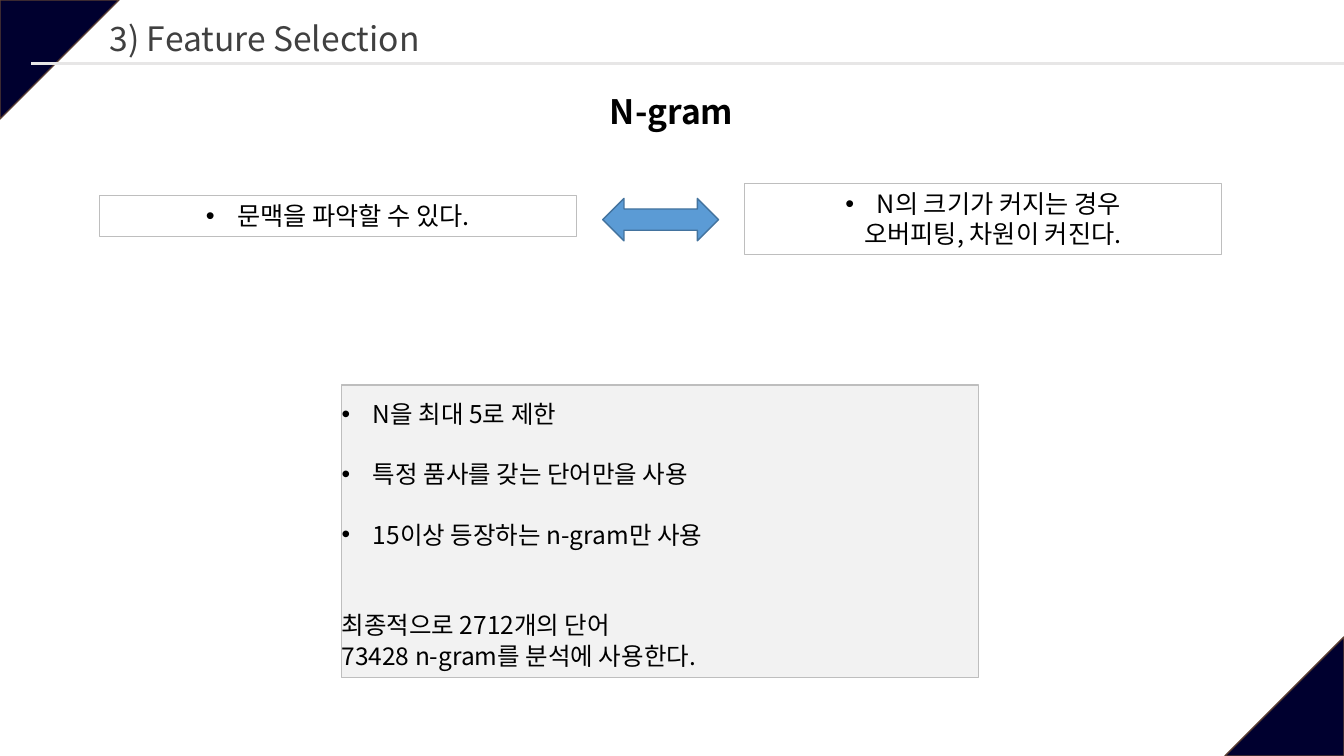
from lxml.etree import SubElement
from pptx import Presentation
from pptx.dml.color import RGBColor
from pptx.enum.shapes import MSO_CONNECTOR as Connector, MSO_SHAPE as Shape
from pptx.enum.text import MSO_ANCHOR as Anchor, PP_ALIGN as Align
from pptx.oxml.ns import qn
from pptx.util import Cm, Pt

FONT = "Noto Sans CJK KR"
BLACK = RGBColor(0x00, 0x00, 0x00)
HEADING = RGBColor(0x40, 0x40, 0x40)
NAVY = RGBColor(0x00, 0x00, 0x2F)
BROWN = RGBColor(0x5B, 0x3F, 0x33)
RULE = RGBColor(0xE7, 0xE6, 0xE6)
BORDER = RGBColor(0xBE, 0xBE, 0xBE)
PANEL = RGBColor(0xF2, 0xF2, 0xF2)
BLUE = RGBColor(0x5B, 0x9B, 0xD5)
DARK_BLUE = RGBColor(0x43, 0x73, 0x9E)

WIDTH, HEIGHT = 33.87, 19.05
CORNER = 3.0
BULLET_INDENT = 0.79
LINE_GAP = 22


def add_block(slide, kind, box, fill, border, weight=1):
    """Add a preset shape with flat fill and border; None leaves it unfilled."""
    block = slide.shapes.add_shape(kind, *map(Cm, box))
    block.shadow.inherit = False
    if fill is None:
        block.fill.background()
    else:
        block.fill.solid()
        block.fill.fore_color.rgb = fill
    block.line.color.rgb = border
    block.line.width = Pt(weight)
    return block


def add_corner(slide, left, top, rotation):
    """Add a navy triangle that fills one corner of the slide."""
    corner = add_block(slide, Shape.ISOSCELES_TRIANGLE, (left, top, CORNER, CORNER), NAVY, BROWN)
    corner.adjustments[0] = 0
    corner.rotation = rotation


def add_rule(slide, left, top, right):
    """Add the horizontal rule under the heading."""
    rule = slide.shapes.add_connector(Connector.STRAIGHT, Cm(left), Cm(top), Cm(right), Cm(top))
    rule.line.color.rgb = RULE
    rule.line.width = Pt(2.28)
    SubElement(rule._element.spPr, qn("a:effectLst"))


def set_margins(frame, left, top, right, bottom):
    """Set the text margins, wrapping and top anchor of a frame."""
    frame.margin_left, frame.margin_top = Cm(left), Cm(top)
    frame.margin_right, frame.margin_bottom = Cm(right), Cm(bottom)
    frame.word_wrap = True
    frame.vertical_anchor = Anchor.TOP


def write_paragraph(paragraph, text, size, color=BLACK, bold=False, align=Align.LEFT,
                    before=0, indent=0, bullet=False):
    """Write one run with its font, spacing, indent and optional bullet."""
    paragraph.alignment = align
    paragraph.space_before = Pt(before)
    props = paragraph._p.get_or_add_pPr()
    props.set("marL", str(Cm(BULLET_INDENT if bullet else indent)))
    props.set("indent", str(Cm(-BULLET_INDENT if bullet else 0)))
    if bullet:
        SubElement(props, qn("a:buFont"), typeface="Arial")
        SubElement(props, qn("a:buChar"), char="•")
    run = paragraph.add_run()
    run.text = text
    run.font.size = Pt(size)
    run.font.bold = bold
    run.font.color.rgb = color
    run.font.name = FONT
    SubElement(run._r.get_or_add_rPr(), qn("a:ea"), typeface=FONT)


def write_lines(frame, lines, **style):
    """Write (text, options) pairs as the paragraphs of a frame."""
    for number, (text, options) in enumerate(lines):
        paragraph = frame.add_paragraph() if number else frame.paragraphs[0]
        write_paragraph(paragraph, text, **{**style, **options})


def add_label(slide, box, text, margins, **style):
    """Add a single-line text box."""
    frame = slide.shapes.add_textbox(*map(Cm, box)).text_frame
    set_margins(frame, *margins)
    write_paragraph(frame.paragraphs[0], text, **style)


def add_text_block(slide, box, lines, margins, fill=None, weight=0.75, **style):
    """Add a bordered rectangle holding text."""
    frame = add_block(slide, Shape.RECTANGLE, box, fill, BORDER, weight).text_frame
    set_margins(frame, *margins)
    write_lines(frame, lines, **style)


def main():
    """Build the feature selection slide and save it."""
    deck = Presentation()
    deck.slide_width, deck.slide_height = Cm(WIDTH), Cm(HEIGHT)
    slide = deck.slides.add_slide(deck.slide_layouts[6])
    usual = (0.25, 0.13, 0.25, 0.13)

    add_corner(slide, 0, 0, 90)
    add_corner(slide, WIDTH - CORNER, HEIGHT - CORNER, 270)
    add_rule(slide, 0.79, 1.6, WIDTH)
    add_label(slide, (2.51, 0.33, 17.45, 1.27), "3) Feature Selection", usual,
              size=24, color=HEADING)

    bullet = {"bullet": True}
    spaced = {"bullet": True, "before": LINE_GAP}
    limits = [
        ("N을 최대 5로 제한", bullet),
        ("특정 품사를 갖는 단어만을 사용", spaced),
        ("15이상 등장하는 n-gram만 사용", spaced),
        ("최종적으로 2712개의 단어", {"before": 2 * LINE_GAP}),
        ("73428 n-gram를 분석에 사용한다.", {}),
    ]
    add_text_block(slide, (8.61, 9.7, 16.05, 7.37), limits, (0, 0.36, 0, 0),
                   fill=PANEL, weight=0.96, size=17.5, before=0.6)

    add_label(slide, (13.26, 2.26, 5.51, 1.07), "N-gram", (0, 0.03, 0, 0),
              size=24, bold=True, before=1, indent=2.11)

    benefit = [("문맥을 파악할 수 있다.", bullet)]
    drawback = [("N의 크기가 커지는 경우", bullet), ("오버피팅, 차원이 커진다.", {"indent": 0.5})]
    for box, lines in (((2.51, 4.93, 12.01, 1.02), benefit),
                       ((18.77, 4.62, 12.01, 1.8), drawback)):
        add_text_block(slide, box, lines, usual, size=18, align=Align.CENTER)
    add_block(slide, Shape.LEFT_RIGHT_ARROW, (15.19, 5, 2.92, 1.07), BLUE, DARK_BLUE)

    deck.save("out.pptx")


if __name__ == "__main__":
    main()
